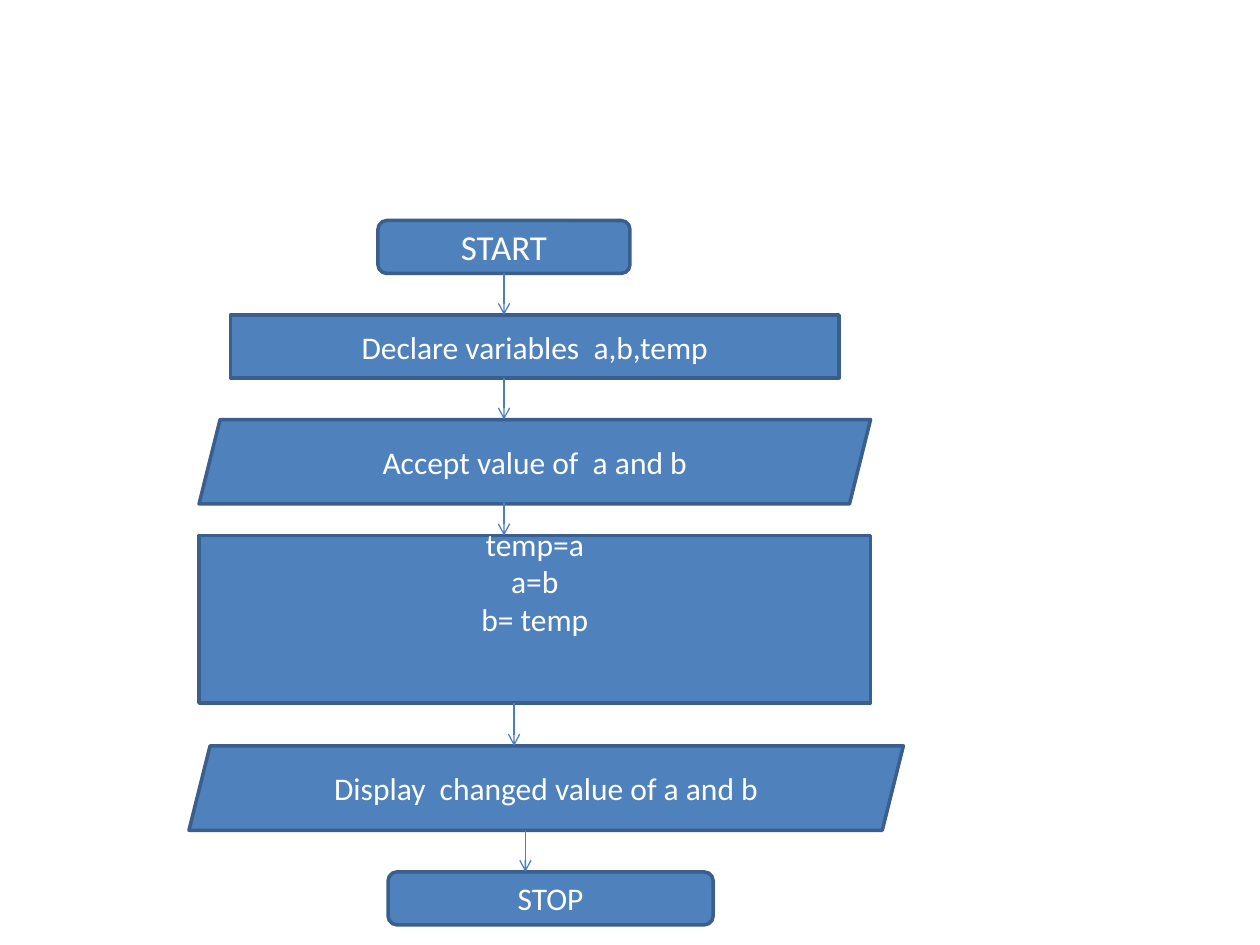
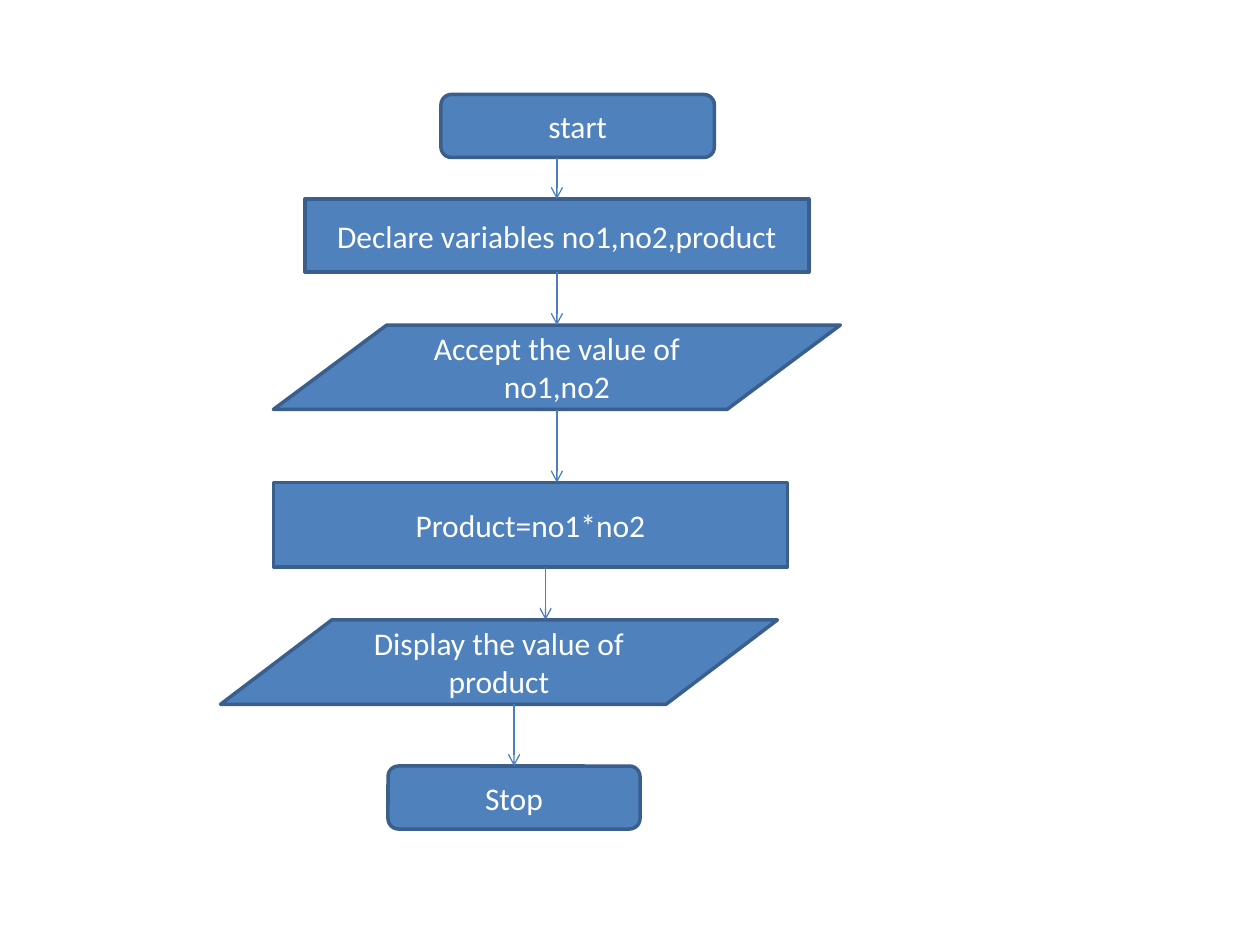
from dataclasses import dataclass

from lxml import etree
from pptx import Presentation
from pptx.dml.color import RGBColor
from pptx.enum.shapes import MSO_CONNECTOR, MSO_SHAPE
from pptx.enum.text import MSO_ANCHOR, MSO_AUTO_SIZE, PP_ALIGN
from pptx.oxml.ns import qn
from pptx.util import Inches, Pt

ROUNDED = MSO_SHAPE.ROUNDED_RECTANGLE
RECTANGLE = MSO_SHAPE.RECTANGLE
PARALLELOGRAM = MSO_SHAPE.PARALLELOGRAM
INPUT_OUTPUT = MSO_SHAPE.FLOWCHART_DATA
STRAIGHT = MSO_CONNECTOR.STRAIGHT
CENTER = PP_ALIGN.CENTER
MIDDLE = MSO_ANCHOR.MIDDLE
NO_AUTOFIT = MSO_AUTO_SIZE.NONE

FILL, OUTLINE, ARROW, TEXT = "4F81BD", "3A5F8C", "4B7EBC", "FFFFFF"
FONT = "Calibri"
CONTENT_LAYOUT, BLANK_LAYOUT = 1, 6


@dataclass
class Step:
    """One flowchart step; the arrow to the next step leaves at arrow_x."""
    shape: int
    box: tuple
    text: str
    arrow_x: float = None
    arrow_overlap: float = 0
    bottom_inset: float = 0.05
    size: int = 18


SWAP_STEPS = [
    Step(ROUNDED, (3, 1.75, 2, 0.42), "START", 4, size=20),
    Step(RECTANGLE, (1.83, 2.5, 4.83, 0.5), "Declare variables  a,b,temp", 4),
    Step(PARALLELOGRAM, (1.58, 3.33, 5.33, 0.67), "Accept value of  a and b",
         4, arrow_overlap=0.08),
    Step(RECTANGLE, (1.58, 4.25, 5.33, 1.33), "temp=a\na=b\nb= temp", 4.08,
         bottom_inset=0.65),
    Step(PARALLELOGRAM, (1.5, 5.92, 5.67, 0.67),
         "Display  changed value of a and b", 4.17),
    Step(ROUNDED, (3.08, 6.92, 2.58, 0.42), "STOP"),
]

PRODUCT_STEPS = [
    Step(ROUNDED, (3.5, 0.75, 2.17, 0.5), "start", 4.42),
    Step(RECTANGLE, (2.42, 1.58, 4, 0.58), "Declare variables no1,no2,product", 4.42),
    Step(INPUT_OUTPUT, (2.17, 2.58, 4.5, 0.67), "Accept the value of no1,no2", 4.42),
    Step(RECTANGLE, (2.17, 3.83, 4.08, 0.67), "Product=no1*no2", 4.33),
    Step(INPUT_OUTPUT, (1.75, 4.92, 4.42, 0.67), "Display the value of product", 4.08),
    Step(ROUNDED, (3.08, 6.08, 2, 0.5), "Stop"),
]


def color(value):
    return RGBColor.from_string(value)


def set_all(target, values):
    for name, value in values.items():
        setattr(target, name, value)


def style_step(shape, step):
    """Give a step its fill, outline and centred text."""
    shape.shadow.inherit = False
    shape.fill.solid()
    shape.fill.fore_color.rgb = color(FILL)
    shape.line.color.rgb = color(OUTLINE)
    shape.line.width = Pt(2)

    frame = shape.text_frame
    frame.text = step.text
    set_all(frame, {"word_wrap": True, "auto_size": NO_AUTOFIT,
                    "vertical_anchor": MIDDLE,
                    "margin_bottom": Inches(step.bottom_inset)})
    for para in frame.paragraphs:
        para.alignment = CENTER
        for span in para.runs:
            set_all(span.font, {"name": FONT, "size": Pt(step.size)})
            span.font.color.rgb = color(TEXT)


def place_body_step(body, step):
    """Turn the body placeholder into a rounded step without a bullet."""
    names = ("left", "top", "width", "height")
    set_all(body, dict(zip(names, map(Inches, step.box))))
    outline = etree.SubElement(body.element.spPr, qn("a:prstGeom"), prst="roundRect")
    etree.SubElement(outline, qn("a:avLst"))
    style_step(body, step)
    for para in body.text_frame.paragraphs:
        etree.SubElement(para._p.get_or_add_pPr(), qn("a:buNone"))


def add_step(page, step):
    shape = page.shapes.add_shape(step.shape, *map(Inches, step.box))
    style_step(shape, step)


def add_arrow(page, step, following):
    """Join the bottom of one step to the top of the following one."""
    _, top, _, height = step.box
    start = top + height - step.arrow_overlap
    x = Inches(step.arrow_x)
    arrow = page.shapes.add_connector(
        STRAIGHT, x, Inches(start), x, Inches(following.box[1]))
    arrow.line.color.rgb = color(ARROW)
    arrow.line.width = Pt(0.75)
    etree.SubElement(arrow.line._get_or_add_ln(), qn("a:tailEnd"), type="arrow")
    etree.SubElement(arrow._element.spPr, qn("a:effectLst"))


def add_flowchart(page, steps):
    """Draw the steps, the first in the body placeholder if there is one."""
    for position, step in enumerate(steps):
        bodies = [item for item in page.placeholders
                  if item.placeholder_format.idx == 1]
        if position == 0 and bodies:
            place_body_step(bodies[0], step)
        else:
            add_step(page, step)
    for step, following in zip(steps, steps[1:]):
        add_arrow(page, step, following)


deck = Presentation()
deck.slide_width, deck.slide_height = Inches(10), Inches(7.5)

# Swapping two values
swap_page = deck.slides.add_slide(deck.slide_layouts[CONTENT_LAYOUT])
title = swap_page.shapes.title.element
title.getparent().remove(title)
add_flowchart(swap_page, SWAP_STEPS)

# Product of two numbers
product_page = deck.slides.add_slide(deck.slide_layouts[BLANK_LAYOUT])
add_flowchart(product_page, PRODUCT_STEPS)

deck.save("out.pptx")
